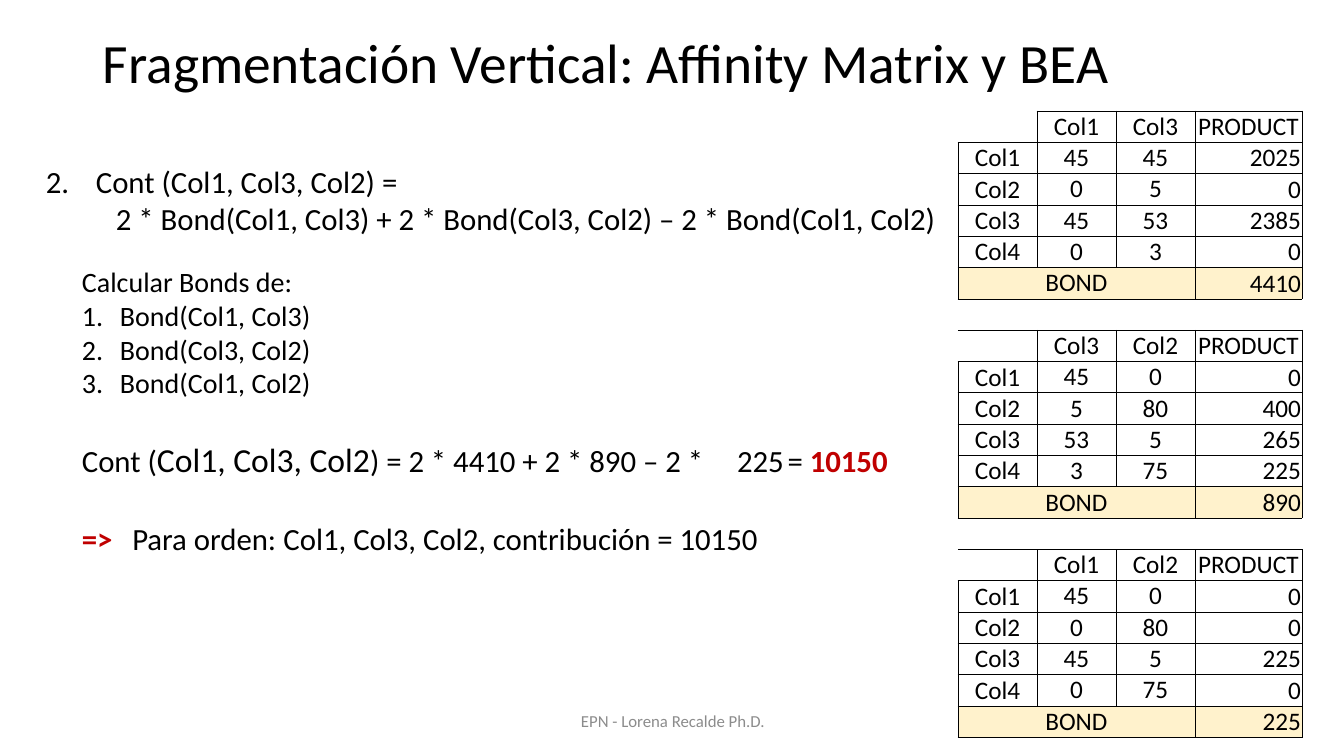
"""Build the slide on vertical fragmentation with its bond tables."""
import lxml.etree
import pptx
import pptx.dml.color
import pptx.enum.text
import pptx.oxml.ns
import pptx.util

PX = 914400 / 100.8
ALIGN = pptx.enum.text.PP_ALIGN
ANCHOR = pptx.enum.text.MSO_ANCHOR
qn = pptx.oxml.ns.qn

THEME = {
    "font": "Calibri",
    "colors": {"text": "000000", "accent": "C00000", "footer": "8C8C8C", "bond": "FFF2CC"},
    "sizes": {"title": 39.6, "footer": 12, "list": 20, "body": 22, "large": 24, "table": 18},
}


def px(length):
    return pptx.util.Emu(round(length * PX))


def add_run(paragraph, text, size, color="text", bold=False):
    run = paragraph.add_run()
    run.text = text
    values = {"name": THEME["font"], "size": pptx.util.Pt(THEME["sizes"][size]), "bold": bold}
    for name, value in values.items():
        setattr(run.font, name, value)
    run.font.color.rgb = pptx.dml.color.RGBColor.from_string(THEME["colors"][color])


presentation = pptx.Presentation()
presentation.slide_width = px(1344)
presentation.slide_height = px(756)
slide = presentation.slides.add_slide(presentation.slide_layouts[6])

numbered = {"margin": 38, "hanging": 38, "start": 1}
text_boxes = [
    {"box": (93, 40, 1159, 51), "anchor": ANCHOR.MIDDLE, "paragraphs": [
        {"spacing": 0.9, "runs": [("Fragmentación Vertical: Affinity Matrix y BEA", "title")]},
    ]},
    {"box": (446, 701, 454, 40), "anchor": ANCHOR.MIDDLE, "paragraphs": [
        {"align": ALIGN.CENTER, "runs": [("EPN - Lorena Recalde Ph.D.", "footer", "footer")]},
    ]},
    {"box": (72, 260, 251, 146), "paragraphs": [
        {"runs": [("Calcular Bonds de:", "list")]},
        {**numbered, "runs": [("Bond(Col1, Col3)", "list")]},
        {**numbered, "runs": [("Bond(Col3, Col2)", "list")]},
        {**numbered, "runs": [("Bond(Col1, Col2)", "list")]},
    ]},
    {"box": (36, 158, 970, 85), "paragraphs": [
        {"margin": 50, "hanging": 50, "start": 2, "runs": [("Cont (Col1, Col3, Col2) =", "body")]},
        {"margin": 70, "runs": [
            ("2 * Bond(Col1, Col3) + 2 * Bond(Col3, Col2) – 2 * Bond(Col1, Col2)", "body"),
        ]},
    ]},
    {"box": (72, 434, 837, 50), "paragraphs": [
        {"tabs": (636, 696), "runs": [
            ("Cont (", "body"),
            ("Col1, Col3, Col2", "large"),
            (") = 2 * 4410 + 2 * 890 – 2 *\t225\t= ", "body"),
            ("10150", "body", "accent", True),
        ]},
    ]},
    {"box": (72, 515, 719, 47), "paragraphs": [
        {"tabs": (44, 209), "runs": [
            ("=>", "body", "accent", True),
            ("\tPara orden:\tCol1, Col3, Col2, contribución = 10150", "body"),
        ]},
    ]},
]

for content in text_boxes:
    frame = slide.shapes.add_textbox(*map(px, content["box"])).text_frame
    frame.word_wrap = True
    frame.vertical_anchor = content.get("anchor", ANCHOR.TOP)
    for index, item in enumerate(content["paragraphs"]):
        paragraph = frame.add_paragraph() if index else frame.paragraphs[0]
        paragraph.alignment = item.get("align", ALIGN.LEFT)
        paragraph.line_spacing = item.get("spacing", 1.0)
        properties = paragraph._p.get_or_add_pPr()
        properties.set("marL", str(px(item.get("margin", 0))))
        properties.set("indent", str(-px(item.get("hanging", 0))))
        if "start" in item:
            lxml.etree.SubElement(properties, qn("a:buAutoNum"), type="arabicPeriod",
                                  startAt=str(item["start"]))
        if "tabs" in item:
            tab_list = lxml.etree.SubElement(properties, qn("a:tabLst"))
            for position in item["tabs"]:
                lxml.etree.SubElement(tab_list, qn("a:tab"), pos=str(px(position)), algn="l")
        for run in item["runs"]:
            add_run(paragraph, *run)

affinity = {"Col1": (45, 0, 45, 0), "Col2": (0, 80, 5, 75), "Col3": (45, 5, 53, 3)}
bond_pairs = [("Col1", "Col3"), ("Col3", "Col2"), ("Col1", "Col2")]
rows = []
for first, second in bond_pairs:
    if rows:
        rows.append(("", "", "", ""))
    rows.append(("", first, second, "PRODUCT"))
    products = []
    for number, (left, right) in enumerate(zip(affinity[first], affinity[second]), 1):
        products.append(left * right)
        rows.append((f"Col{number}", left, right, products[-1]))
    rows.append(("BOND", None, None, sum(products)))

column_widths = (79, 79, 79, 107)
table = slide.shapes.add_table(len(rows), len(column_widths), px(958), px(111),
                               px(sum(column_widths)), px(627)).table
table.first_row = False
table.horz_banding = False
table._tbl.tblPr.find(qn("a:tableStyleId")).text = "{2D5ABB26-0587-4C30-8999-92F81FD0307C}"
for column, width in zip(table.columns, column_widths):
    column.width = px(width)

occupied = {(row, column) for row, values in enumerate(rows)
            for column, value in enumerate(values) if value != ""}
sides = {"a:lnL": (0, -1), "a:lnR": (0, 1), "a:lnT": (-1, 0), "a:lnB": (1, 0)}
for row, values in enumerate(rows):
    is_bond = values[0] == "BOND"
    is_header = values[3] == "PRODUCT"
    for column, value in enumerate(values):
        cell = table.cell(row, column)
        anchored_low = column == 3 and not is_header or column == 0 and not is_bond
        cell_format = {
            "margin_left": px(1), "margin_right": px(1), "margin_top": 0, "margin_bottom": 0,
            "vertical_anchor": ANCHOR.BOTTOM if anchored_low else ANCHOR.MIDDLE,
        }
        for name, setting in cell_format.items():
            setattr(cell, name, setting)
        properties = cell._tc.get_or_add_tcPr()
        for tag, (down, across) in sides.items():
            if occupied & {(row, column), (row + down, column + across)}:
                line = lxml.etree.SubElement(properties, qn(tag), w=str(pptx.util.Pt(0.5)))
                line_fill = lxml.etree.SubElement(line, qn("a:solidFill"))
                lxml.etree.SubElement(line_fill, qn("a:srgbClr"), val=THEME["colors"]["text"])
        if is_bond:
            cell.fill.solid()
            cell.fill.fore_color.rgb = pptx.dml.color.RGBColor.from_string(THEME["colors"]["bond"])
        else:
            cell.fill.background()
        if value not in ("", None):
            paragraph = cell.text_frame.paragraphs[0]
            paragraph.alignment = ALIGN.RIGHT if column == 3 and not is_header else ALIGN.CENTER
            add_run(paragraph, str(value), "table")
    if is_bond:
        table.cell(row, 0).merge(table.cell(row, 2))

presentation.save("out.pptx")
